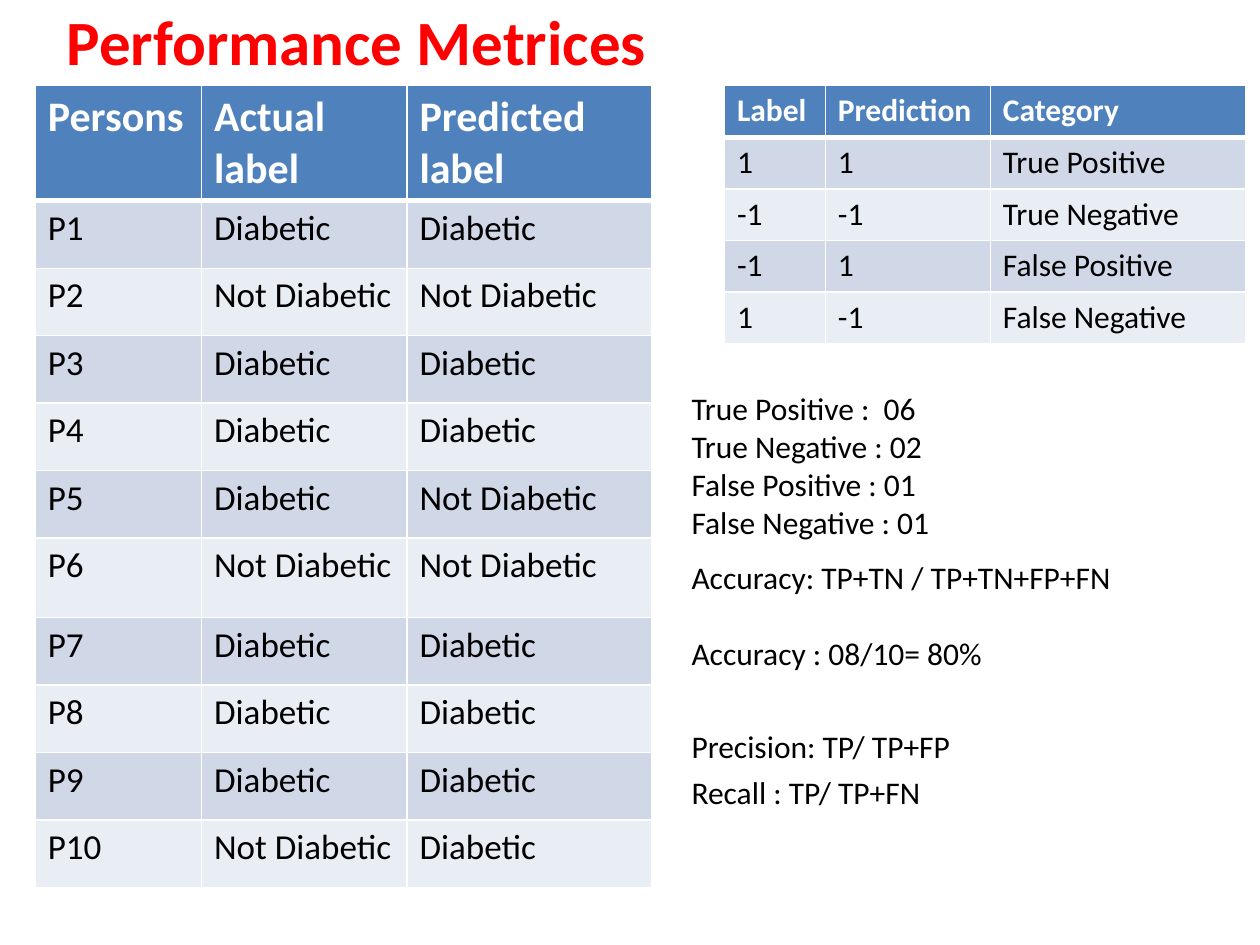
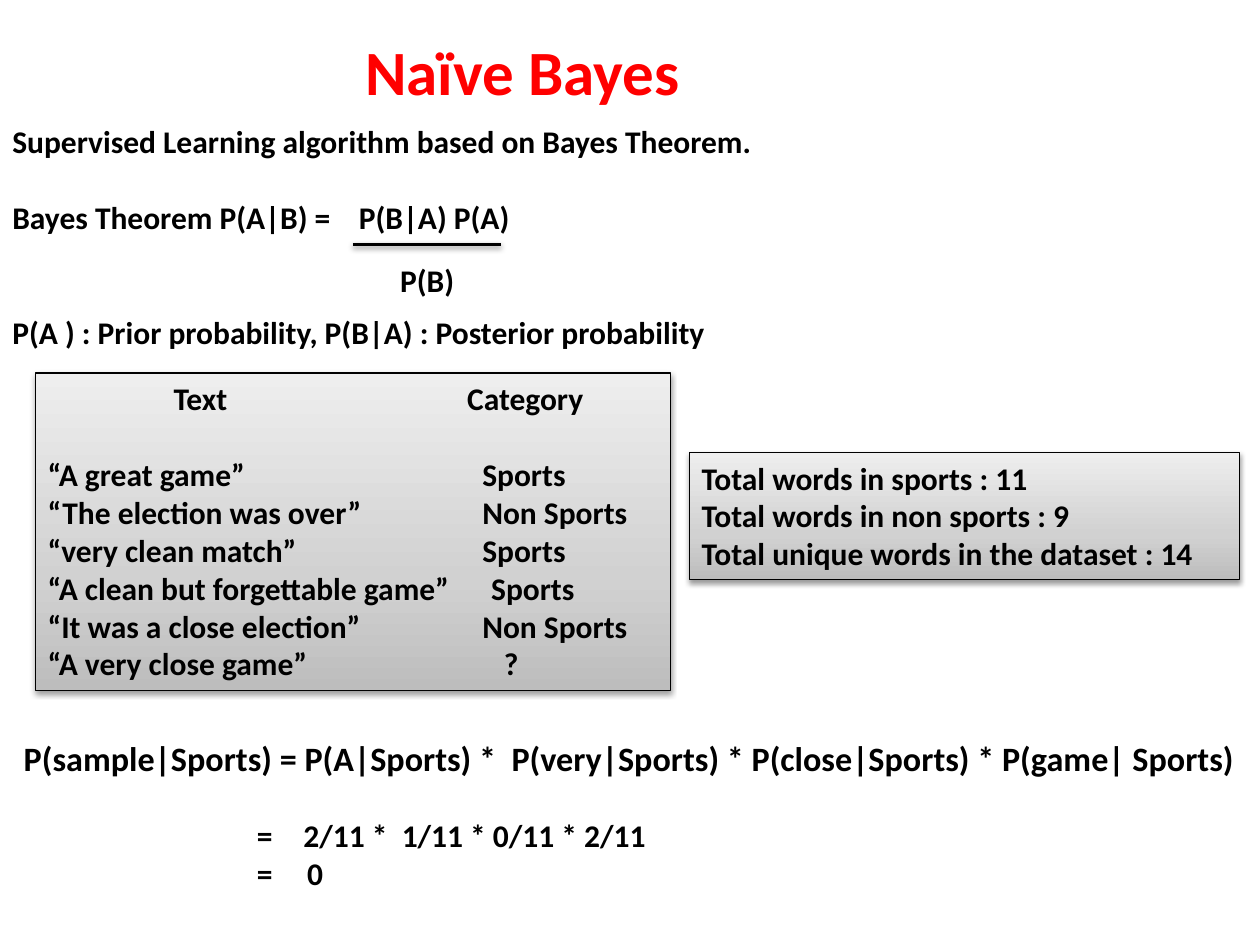
from dataclasses import dataclass

from lxml import etree
from pptx import Presentation
from pptx.dml.color import RGBColor
from pptx.enum.shapes import MSO_CONNECTOR, MSO_SHAPE
from pptx.enum.text import MSO_ANCHOR, MSO_AUTO_SIZE, PP_ALIGN
from pptx.oxml.ns import qn
from pptx.util import Inches, Pt

LEFT, CENTER = PP_ALIGN.LEFT, PP_ALIGN.CENTER
TOP = MSO_ANCHOR.TOP
NO_AUTOSIZE = MSO_AUTO_SIZE.NONE
RECTANGLE = MSO_SHAPE.RECTANGLE
STRAIGHT = MSO_CONNECTOR.STRAIGHT
TITLE_ONLY = 5


@dataclass(frozen=True)
class Theme:
    font: str = "Calibri"
    title_color: str = "FF0000"
    ink: str = "000000"
    white: str = "FFFFFF"
    header_fill: str = "4F81BD"
    bands: tuple = ("D0D8E8", "E9EDF4")
    panel_stops: tuple = ((0, "BDBDBD"), (35, "D1D1D1"), (100, "EEEEEE"))
    title_size: float = 36
    header_size: float = 24
    cell_size: float = 20
    formula_size: float = 19.5
    body_size: float = 18
    line_gap: float = 22  # height of one body line, in points


THEME = Theme()


@dataclass(frozen=True)
class Line:
    """A paragraph with space before it (points) and tab stops (inches)."""
    text: str
    before: float = 0
    tabs: tuple = ()
    size: float = THEME.body_size


def rgb(value):
    return RGBColor.from_string(value)


def set_tab_stops(paragraph, stops):
    tab_list = etree.SubElement(paragraph._p.get_or_add_pPr(), qn("a:tabLst"))
    for stop in stops:
        etree.SubElement(tab_list, qn("a:tab"), pos=str(Inches(stop)), algn="l")


def write(paragraph, text, size=THEME.body_size, color=THEME.ink, bold=False,
          align=LEFT, before=0, tabs=()):
    paragraph.alignment = align
    paragraph.space_before = Pt(before)
    if tabs:
        set_tab_stops(paragraph, tabs)
    run = paragraph.add_run()
    run.text = text
    font = run.font
    font.name, font.size, font.bold = THEME.font, Pt(size), bold
    font.color.rgb = rgb(color)


def write_lines(frame, lines, bold=False, align=LEFT):
    frame.word_wrap = True
    frame.vertical_anchor = TOP
    for index, line in enumerate(lines):
        paragraph = frame.add_paragraph() if index else frame.paragraphs[0]
        write(paragraph, line.text, size=line.size, bold=bold, align=align,
              before=line.before, tabs=line.tabs)


def add_titled_slide(deck, title, box):
    slide = deck.slides.add_slide(deck.slide_layouts[TITLE_ONLY])
    heading = slide.shapes.title
    heading.left, heading.top, heading.width, heading.height = map(Inches, box)
    frame = heading.text_frame
    frame.auto_size = NO_AUTOSIZE
    frame.vertical_anchor = TOP
    write(frame.paragraphs[0], title, size=THEME.title_size,
          color=THEME.title_color, bold=True)
    return slide


def add_text(slide, box, lines, **style):
    area = slide.shapes.add_textbox(*map(Inches, box))
    write_lines(area.text_frame, lines, **style)


def add_soft_shadow(shape):
    effects = etree.SubElement(shape._element.spPr, qn("a:effectLst"))
    shadow = etree.SubElement(effects, qn("a:outerShdw"), blurRad="40000",
                              dist="20000", dir="5400000", rotWithShape="0")
    color = etree.SubElement(shadow, qn("a:srgbClr"), val=THEME.ink)
    etree.SubElement(color, qn("a:alpha"), val="38000")


def fill_with_panel_gradient(shape):
    shape.fill.gradient()
    shape.fill.gradient_angle = 90
    stop_list = shape._element.spPr.find(".//" + qn("a:gsLst"))
    for stop in list(stop_list):
        stop_list.remove(stop)
    for percent, color in THEME.panel_stops:
        stop = etree.SubElement(stop_list, qn("a:gs"), pos=str(percent * 1000))
        etree.SubElement(stop, qn("a:srgbClr"), val=color)


def add_panel(slide, box, lines):
    panel = slide.shapes.add_shape(RECTANGLE, *map(Inches, box))
    fill_with_panel_gradient(panel)
    panel.line.color.rgb = rgb(THEME.ink)
    panel.line.width = Pt(0.75)
    add_soft_shadow(panel)
    write_lines(panel.text_frame, lines, bold=True)


def add_fraction_bar(slide, left, right, y):
    bar = slide.shapes.add_connector(STRAIGHT, *map(Inches, (left, y, right, y)))
    bar.line.color.rgb = rgb(THEME.ink)
    bar.line.width = Pt(2)
    add_soft_shadow(bar)


def set_borders(cell, top, bottom):
    """Draw white borders; top and bottom widths are in points."""
    properties = cell._tc.get_or_add_tcPr()
    for side, width in (("L", 1), ("R", 1), ("T", top), ("B", bottom)):
        edge = etree.SubElement(properties, qn("a:ln" + side), w=str(Pt(width)))
        fill = etree.SubElement(edge, qn("a:solidFill"))
        etree.SubElement(fill, qn("a:srgbClr"), val=THEME.white)


def add_banded_table(slide, left, top, widths, heights, rows,
                     header_size, cell_size):
    frame = slide.shapes.add_table(
        len(rows), len(widths), Inches(left), Inches(top),
        Inches(sum(widths)), Inches(sum(heights)))
    table = frame.table
    for column, width in zip(table.columns, widths):
        column.width = Inches(width)
    for r, (values, height) in enumerate(zip(rows, heights)):
        table.rows[r].height = Inches(height)
        is_header = r == 0
        fill = THEME.header_fill if is_header else THEME.bands[(r - 1) % 2]
        for c, value in enumerate(values):
            cell = table.cell(r, c)
            set_borders(cell, top=3 if r == 1 else 1, bottom=3 if is_header else 1)
            cell.fill.solid()
            cell.fill.fore_color.rgb = rgb(fill)
            write(cell.text_frame.paragraphs[0], value,
                  size=header_size if is_header else cell_size,
                  color=THEME.white if is_header else THEME.ink,
                  bold=is_header)


def build_metrics_slide(deck):
    slide = add_titled_slide(deck, "Performance Metrices", (0.43, -0.03, 6.14, 0.71))

    yes, no = "Diabetic", "Not Diabetic"
    diagnoses = [(yes, yes), (no, no), (yes, yes), (yes, yes), (yes, no),
                 (no, no), (yes, yes), (yes, yes), (yes, yes), (no, yes)]
    persons = [("Persons", "Actual label", "Predicted label")]
    persons += [(f"P{n}", *labels) for n, labels in enumerate(diagnoses, 1)]
    header_height, p6_height = 0.91, 0.63
    row_height = (6.36 - header_height - p6_height) / 9
    heights = [header_height] + [row_height] * 10
    heights[6] = p6_height
    add_banded_table(slide, 0.28, 0.68, (1.32, 1.63, 1.94), heights, persons,
                     THEME.header_size, THEME.cell_size)

    categories = [("Label", "Prediction", "Category"),
                  ("1", "1", "True Positive"),
                  ("-1", "-1", "True Negative"),
                  ("-1", "1", "False Positive"),
                  ("1", "-1", "False Negative")]
    add_banded_table(slide, 5.75, 0.68, (0.8, 1.31, 2.03), [0.41] * 5, categories,
                     THEME.body_size, THEME.body_size)

    add_text(slide, (5.39, 3.04, 3.23, 1.31), [
        Line("True Positive :  06"),
        Line("True Negative : 02"),
        Line("False Positive : 01"),
        Line("False Negative : 01")])
    add_text(slide, (5.39, 4.38, 4.33, 1.31), [
        Line("Accuracy: TP+TN / TP+TN+FP+FN"),
        Line("Accuracy : 08/10= 80%", before=THEME.line_gap)])
    add_text(slide, (5.39, 5.72, 2.44, 1.38), [
        Line("Precision: TP/ TP+FP"),
        Line("Recall : TP/ TP+FN", before=5)])


def build_bayes_slide(deck):
    slide = add_titled_slide(deck, "Naïve Bayes", (2.8, 0.21, 4.09, 0.71))
    gap = THEME.line_gap

    add_text(slide, (0, 0.92, 6.3, 2.22), [
        Line("Supervised Learning algorithm based on Bayes Theorem."),
        Line("Bayes Theorem P(A|B) =\tP(B|A) P(A)", before=gap, tabs=(2.75,)),
        Line("P(A ) : Prior probability, P(B|A) : Posterior probability",
             before=2 * gap)], bold=True)
    bar_left, bar_right = 2.8, 3.98
    add_fraction_bar(slide, bar_left, bar_right, 1.94)
    add_text(slide, (bar_left, 2.02, bar_right - bar_left, 0.4), [Line("P(B)")],
             bold=True, align=CENTER)

    samples = [("“A great game”", "Sports", 3.45),
               ("“The election was over”", "Non Sports", 3.45),
               ("“very clean match”", "Sports", 3.45),
               ("“A clean but forgettable game”", "Sports", 3.52),
               ("“It was a close election”", "Non Sports", 3.45),
               ("“A very close game”", "?", 3.62)]
    sample_lines = [Line("\tText\tCategory", tabs=(1, 3.33))]
    sample_lines += [
        Line(f"{text}\t{category}", before=0 if n else gap, tabs=(tab,))
        for n, (text, category, tab) in enumerate(samples)]
    add_panel(slide, (0.28, 2.96, 5.04, 2.52), sample_lines)
    add_panel(slide, (5.47, 3.59, 4.37, 1.01), [
        Line("Total words in sports : 11"),
        Line("Total words in non sports : 9"),
        Line("Total unique words in the dataset : 14")])

    add_text(slide, (0.09, 5.8, 9.86, 1.34), [
        Line("P(sample|Sports) = P(A|Sports) *  P(very|Sports) * "
             "P(close|Sports) * P(game| Sports)", size=THEME.formula_size),
        Line("\t=\t2/11 *  1/11 * 0/11 * 2/11", before=gap, tabs=(1.85, 2.22)),
        Line("\t=\t0", tabs=(1.85, 2.25))], bold=True)


def main():
    deck = Presentation()
    deck.slide_width, deck.slide_height = Inches(10), Inches(7.5)
    build_metrics_slide(deck)
    build_bayes_slide(deck)
    deck.save("out.pptx")


if __name__ == "__main__":
    main()
